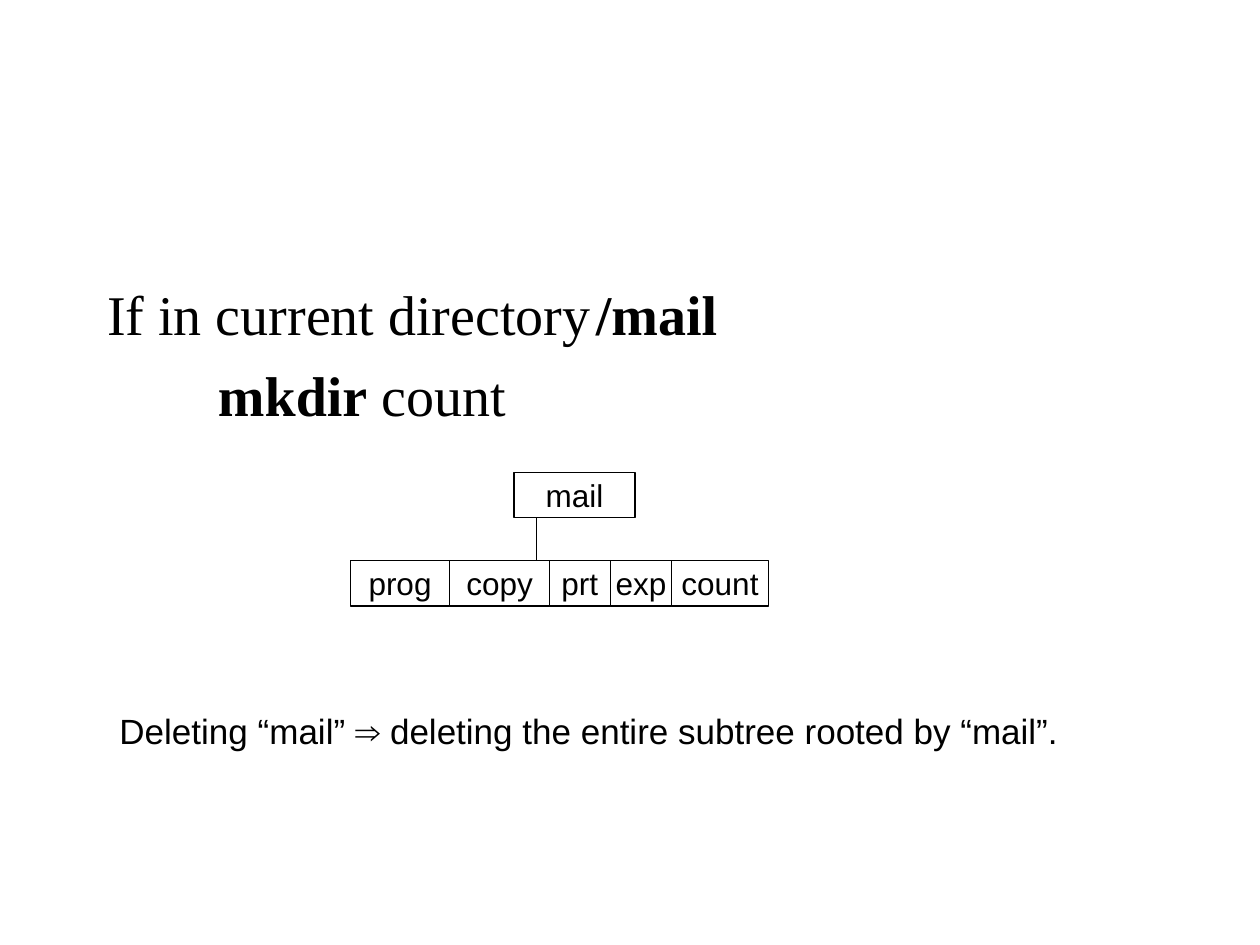
from pptx import Presentation
from pptx.dml.color import RGBColor
from pptx.enum.shapes import MSO_CONNECTOR as Link, MSO_SHAPE as Shape
from pptx.enum.text import MSO_ANCHOR as Anchor, MSO_AUTO_SIZE as Fit, PP_ALIGN as Align
from pptx.oxml.ns import qn
from pptx.util import Inches, Pt
from lxml.etree import SubElement as Sub

BLACK = RGBColor(0, 0, 0)
WHITE = RGBColor(255, 255, 255)
SERIF, SANS = "Times New Roman", "Arial"


def add_run(para, text, size, face, bold=False):
    """Add one formatted run to a paragraph."""
    run = para.add_run()
    run.text = text
    font = run.font
    font.size, font.name, font.bold = Pt(size), face, bold
    font.color.rgb = BLACK


def set_tabs(para, stops):
    """Give a paragraph a hanging indent, no bullet and left tab stops."""
    props = para._p.get_or_add_pPr()
    props.set("marL", str(Inches(0.38)))
    props.set("indent", str(-Inches(0.38)))
    Sub(props, qn("a:buNone"))
    tabs = Sub(props, qn("a:tabLst"))
    for stop in stops:
        Sub(tabs, qn("a:tab"), pos=str(Inches(stop)), algn="l")


def add_body(slide, left, top, width, height):
    """Fill the body placeholder with the command example."""
    body = slide.placeholders[1]
    body.left, body.top = Inches(left), Inches(top)
    body.width, body.height = Inches(width), Inches(height)
    frame = body.text_frame
    frame.auto_size = Fit.NONE
    frame.vertical_anchor = Anchor.TOP
    lines = [
        ([3.79], 0, [("If in current directory\t", False), ("/mail", True)]),
        ([0, 1], 8, [("\t\t", False), ("mkdir", True), (" count", False)]),
    ]
    for i, (stops, gap, runs) in enumerate(lines):
        para = frame.add_paragraph() if i else frame.paragraphs[0]
        para.space_before = Pt(gap)
        set_tabs(para, stops)
        for text, bold in runs:
            add_run(para, text, 32, SERIF, bold)


def add_node(slide, text, left, top, width, height):
    """Draw one outlined box with a centred name."""
    node = slide.shapes.add_shape(
        Shape.RECTANGLE, Inches(left), Inches(top), Inches(width), Inches(height))
    node.shadow.inherit = False
    node.fill.solid()
    node.fill.fore_color.rgb = WHITE
    node.line.color.rgb = BLACK
    node.line.width = Pt(0.75)
    frame = node.text_frame
    frame.word_wrap = False
    frame.vertical_anchor = Anchor.MIDDLE
    para = frame.paragraphs[0]
    para.alignment = Align.CENTER
    add_run(para, text, 18, SANS)


def add_tree(slide, left, top):
    """Draw the mail directory above its row of entries."""
    high, drop = 0.36, 0.7
    add_node(slide, "mail", left + 1.3, top, 0.96, high)
    names = [("prog", 0.79), ("copy", 0.79), ("prt", 0.485), ("exp", 0.485), ("count", 0.77)]
    x = left
    for name, width in names:
        add_node(slide, name, x, top + drop, width, high)
        x += width
    stem = Inches(left + 1.48)
    line = slide.shapes.add_connector(
        Link.STRAIGHT, stem, Inches(top + high), stem, Inches(top + drop))
    line.line.color.rgb = BLACK
    line.line.width = Pt(0.75)
    Sub(line._element.spPr, qn("a:effectLst"))


def add_note(slide, left, top, width, height):
    """Write the remark on deleting a directory."""
    box = slide.shapes.add_textbox(
        Inches(left), Inches(top), Inches(width), Inches(height))
    frame = box.text_frame
    frame.word_wrap = False
    frame.auto_size = Fit.SHAPE_TO_FIT_TEXT
    text = "Deleting “mail” ⇒ deleting the entire subtree rooted by “mail”."
    add_run(frame.paragraphs[0], text, 20, SANS)


def main():
    """Build and save the slide."""
    deck = Presentation()
    deck.slide_width, deck.slide_height = Inches(10), Inches(7.5)
    slide = deck.slides.add_slide(deck.slide_layouts[1])
    title = slide.shapes.title._element
    title.getparent().remove(title)
    add_body(slide, 0.75, 2.17, 8.5, 4.5)
    add_tree(slide, 2.78, 3.75)
    add_note(slide, 0.85, 5.58, 7.67, 0.44)
    deck.save("out.pptx")


if __name__ == "__main__":
    main()
